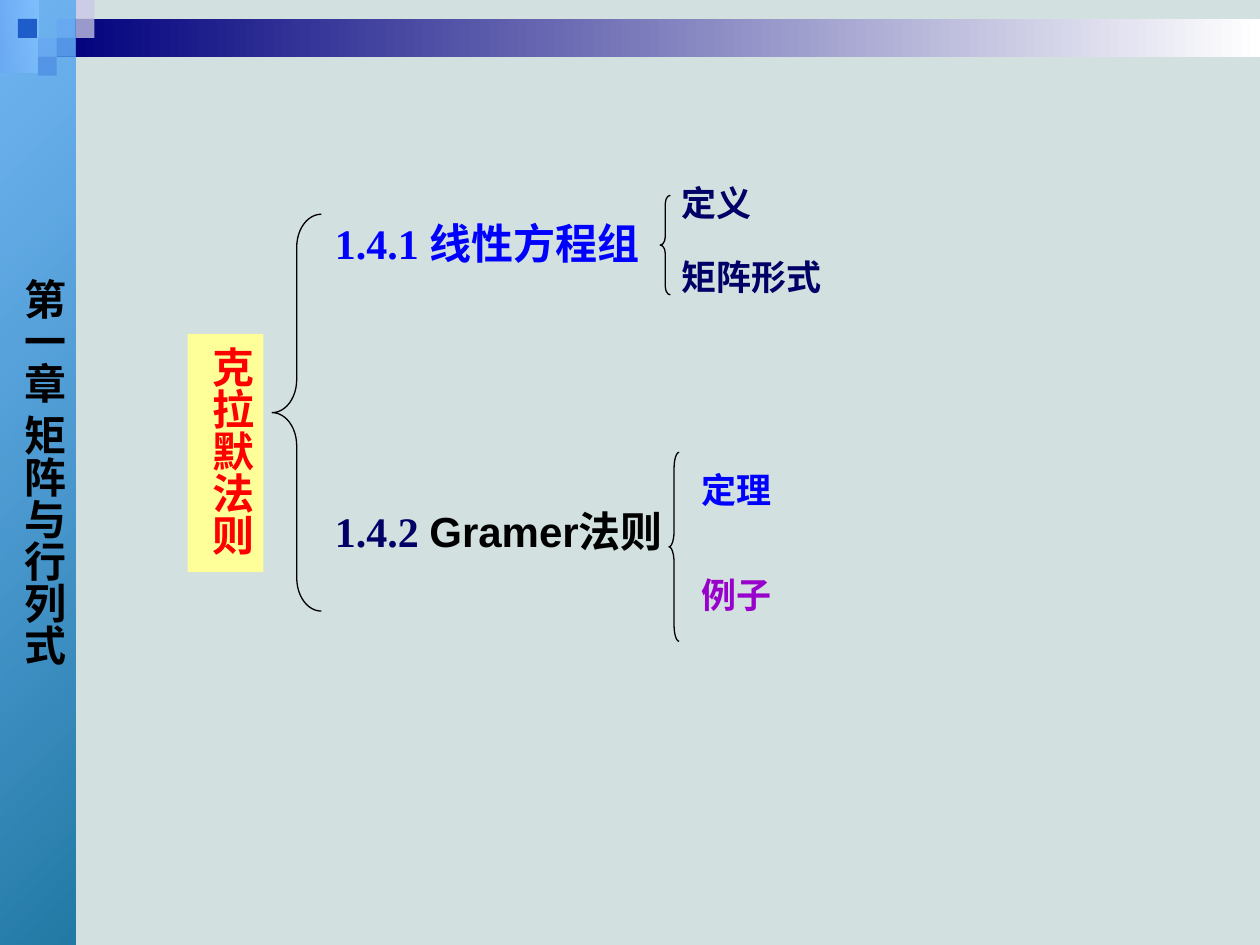
from pptx import Presentation, util as u
from pptx.dml.color import RGBColor
from pptx.enum import shapes, text
from pptx.oxml.ns import qn
from pptx.oxml.xmlchemy import OxmlElement

COLORS = {
    "background": "D2E0DF", "white": "FFFFFF", "black": "000000",
    "navy": "00007D", "lilac": "CCCCE6", "violet": "9999CC",
    "teal": "006699", "sky": "3399FF", "yellow": "FFFF99",
    "red": "FF0000", "blue": "0000FF", "ink": "000066", "purple": "9900CC",
}
COLUMNS, ROWS = 100, 75
TILE = 1.5
CJK_FONT = "Noto Sans CJK SC"


def color(name):
    return RGBColor.from_string(COLORS[name])


def write(frame, spans, size=24, font="Arial", vertical=False, centered=False):
    frame.word_wrap = True
    frame.vertical_anchor = text.MSO_ANCHOR.TOP
    side, end = (0.05, 0.1) if vertical else (0.1, 0.05)
    frame.margin_left = frame.margin_right = u.Inches(side)
    frame.margin_top = frame.margin_bottom = u.Inches(end)
    body = frame._txBody.bodyPr
    if vertical:
        body.set("vert", "eaVert")
    if centered:
        body.set("anchorCtr", "1")
    para = frame.paragraphs[0]
    para.alignment = text.PP_ALIGN.CENTER if centered else text.PP_ALIGN.LEFT
    for words, ink, *own_font in spans:
        span = para.add_run()
        span.text = words
        span.font.size = u.Pt(size)
        span.font.bold = True
        span.font.name = own_font[0] if own_font else font
        span.font.color.rgb = color(ink)
        east_asian = OxmlElement("a:ea")
        east_asian.set("typeface", CJK_FONT)
        span.font._element.find(qn("a:latin")).addnext(east_asian)


class Outline:
    def __init__(self, deck):
        self.deck = deck
        self.page = deck.slides.add_slide(deck.slide_layouts[6])
        self.page.background.fill.solid()
        self.page.background.fill.fore_color.rgb = color("background")

    def place(self, left, top, width, height):
        column = self.deck.slide_width / COLUMNS
        row = self.deck.slide_height / ROWS
        return [round(v) for v in (left * column, top * row, width * column, height * row)]

    def shape(self, kind, area):
        shape = self.page.shapes.add_shape(kind, *self.place(*area))
        shape.shadow.inherit = False
        return shape

    def block(self, area, fill):
        block = self.shape(shapes.MSO_SHAPE.RECTANGLE, area)
        block.line.fill.background()
        block.fill.solid()
        block.fill.fore_color.rgb = color(fill)
        return block

    def gradient(self, area, start, end, angle, opacity=(100, 100)):
        block = self.block(area, start)
        block.fill.gradient()
        block.fill.gradient_angle = angle
        for stop, name, position in zip(block.fill.gradient_stops, (start, end), (0, 1)):
            stop.color.rgb = color(name)
            stop.position = position
        for node, percent in zip(block._element.spPr.iter(qn("a:srgbClr")), opacity):
            if percent < 100:
                alpha = OxmlElement("a:alpha")
                alpha.set("val", str(percent * 1000))
                node.append(alpha)
        return block

    def brace(self, left, top, width, height):
        brace = self.shape(shapes.MSO_SHAPE.LEFT_BRACE, (left, top, width, height))
        brace.adjustments[0] = height / 12 / width
        brace.fill.background()
        brace.line.color.rgb = color("black")
        brace.line.width = u.Pt(0.75)

    def label(self, left, top, width, height, *spans, **style):
        box = self.page.shapes.add_textbox(*self.place(left, top, width, height))
        write(box.text_frame, spans, **style)


def main():
    deck = Presentation()
    deck.slide_width, deck.slide_height = u.Inches(10), u.Inches(7.5)
    outline = Outline(deck)

    outline.gradient((0, 0, 3.1, 5.8), "white", "lilac", 180)
    outline.gradient((4.5, 1.5, 95.5, 3), "white", "navy", 180)
    tiles = [(3, 1, "lilac"), (4, 0, "lilac"), (4, 1, "violet"), (2, 2, "lilac"),
             (0.95, 1, "navy"), (3, 2, "violet"), (2, 3, "violet")]
    for column, row, fill in tiles:
        outline.block((column * TILE, row * TILE, TILE, TILE), fill)

    outline.brace(21.6, 17, 3.9, 31.5)
    outline.label(25.6, 16.8, 29.1, 5, ("1.4.1 线性方程组", "blue"), font="Times New Roman")
    outline.label(25.6, 39.6, 30.7, 5, ("1.4.2 ", "ink", "Times New Roman"),
                  ("Gramer法则", "black"))

    outline.brace(53.1, 35.9, 0.8, 15)
    outline.brace(52.4, 15.5, 0.8, 7.9)
    topics = [(54.7, 36.7, 30.7, "定理", "blue"), (54.7, 45, 30.7, "例子", "purple"),
              (53.1, 13.9, 11.8, "定义", "ink"), (53.1, 19.8, 18.1, "矩阵形式", "ink")]
    for left, top, width, words, ink in topics:
        outline.label(left, top, width, 4.4, (words, ink), size=20)

    subject = outline.block((14.9, 26.5, 6, 18.9), "yellow")
    write(subject.text_frame, [("克拉默法则", "red")], vertical=True)
    chapter = outline.gradient((0, 0, 6, ROWS), "teal", "sky", 135, opacity=(84, 61))
    write(chapter.text_frame, [("第一章 矩阵与行列式", "black")], font=CJK_FONT,
          vertical=True, centered=True)

    deck.save("out.pptx")


if __name__ == "__main__":
    main()
